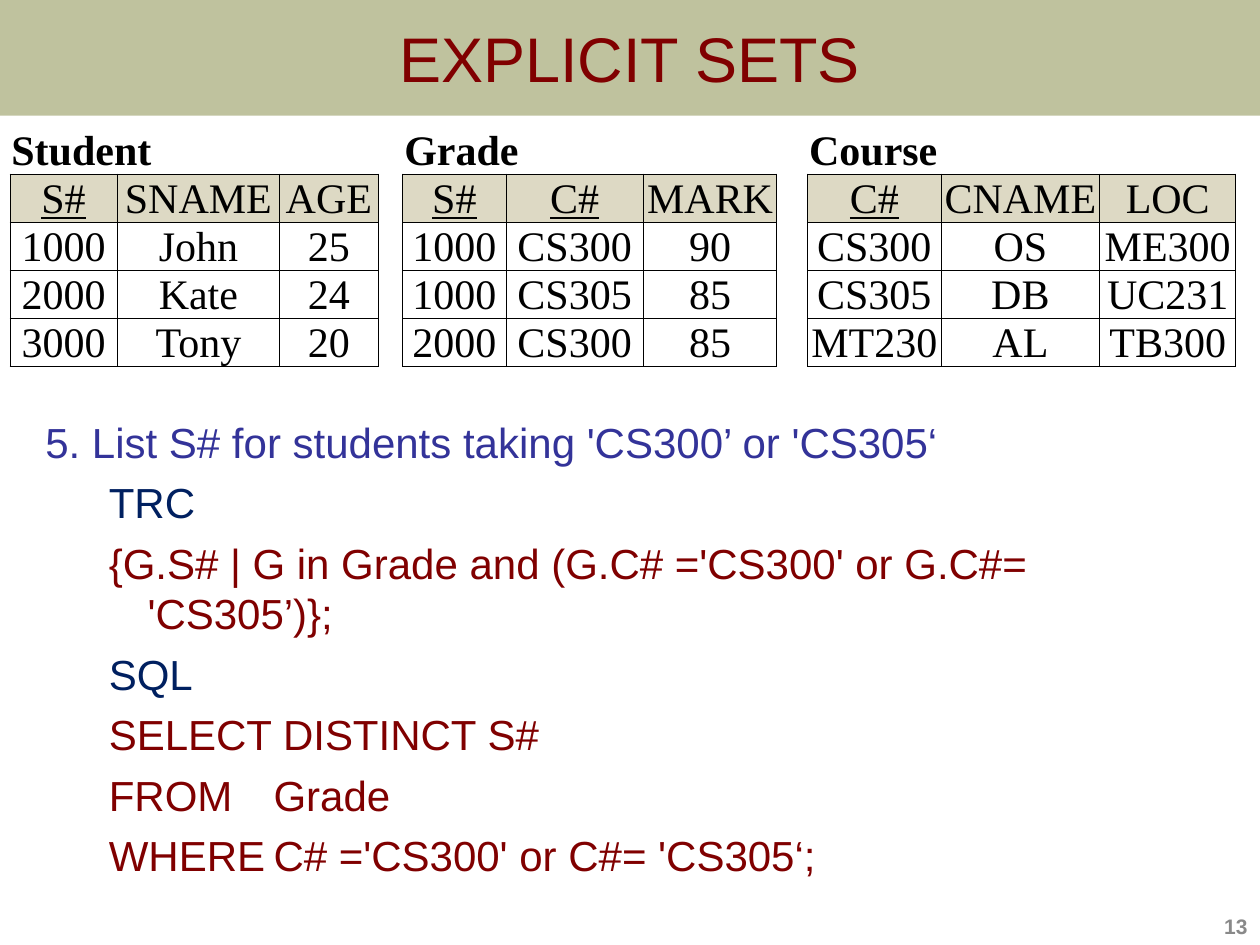
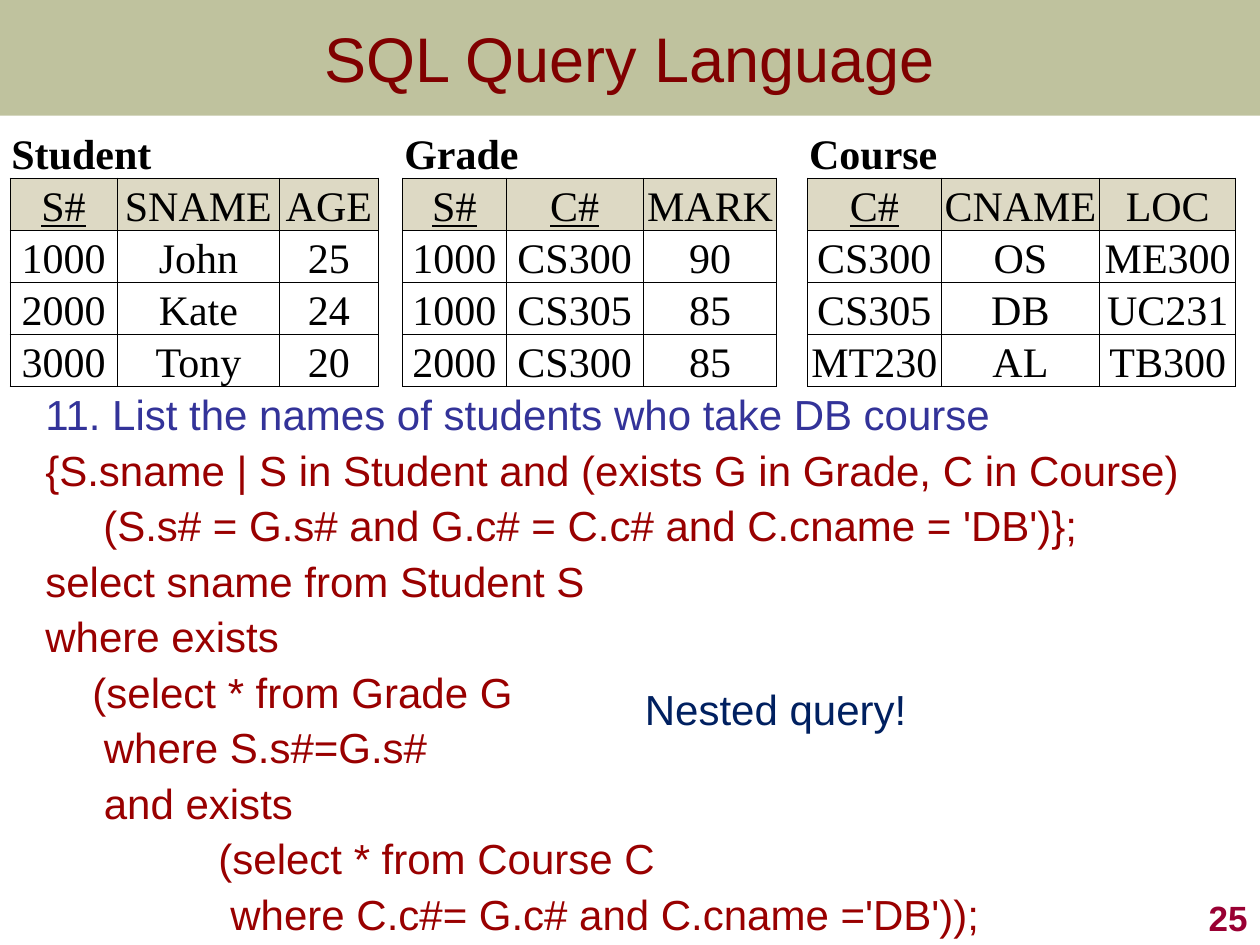
import pptx
import pptx.util
import pptx.dml.color
import pptx.enum.text
import pptx.oxml
import pptx.oxml.ns
import lxml.etree

Cm, Pt = pptx.util.Cm, pptx.util.Pt
ALIGN = pptx.enum.text.PP_ALIGN
ANCHOR = pptx.enum.text.MSO_ANCHOR
AUTO = pptx.enum.text.MSO_AUTO_SIZE

# Shared look
MAROON, NAVY, INDIGO, RED = "800000", "002060", "333399", "990000"
BAND, HEADER, WHITE, BLACK = "6E7524", "DDD9C4", "FFFFFF", "000000"
SANS, SERIF = "Arial", "Times New Roman"

# Relations: name, key columns, column widths (cm), header and rows
RELATIONS = [
    ("Student", {"S#"}, [2.16, 3.28, 1.98],
     [["S#", "SNAME", "AGE"],
      ["1000", "John", "25"],
      ["2000", "Kate", "24"],
      ["3000", "Tony", "20"]]),
    ("Grade", {"S#", "C#"}, [2.08, 2.77, 2.69],
     [["S#", "C#", "MARK"],
      ["1000", "CS300", "90"],
      ["1000", "CS305", "85"],
      ["2000", "CS300", "85"]]),
    ("Course", {"C#"}, [2.69, 3.2, 2.74],
     [["C#", "CNAME", "LOC"],
      ["CS300", "OS", "ME300"],
      ["CS305", "DB", "UC231"],
      ["MT230", "AL", "TB300"]]),
]
GAPS = [0.5, 0.62]

# Slides: body lines are (text, colour, left margin, first-line indent, tab stops)
STEP = (2.06, -0.78)
SLIDES = [
    dict(title="EXPLICIT SETS", row_h=0.97, body_box=(0.66, 8.26, 24, 9.52),
         spacing=1.0, number=("13", 12, "898989"), note=None,
         lines=[
             ("5. List S# for students taking 'CS300’ or 'CS305‘", INDIGO, 0, 0),
             ("TRC", NAVY, *STEP),
             ("{G.S# | G in Grade and (G.C# ='CS300' or G.C#= 'CS305’)};", MAROON, *STEP),
             ("SQL", NAVY, *STEP),
             ("SELECT DISTINCT S#", MAROON, *STEP),
             ("FROM\tGrade", MAROON, *STEP, 2.9, 4.95),
             ("WHERE\tC# ='CS300' or C#= 'CS305‘;", MAROON, *STEP),
         ]),
    dict(title="SQL Query Language", row_h=1.05, body_box=(0.66, 7.82, 24.1, 10.85),
         spacing=0.9, number=("25", 20, "990033"), note="Nested query!",
         lines=[
             ("11. List the names of students who take DB course", INDIGO, 0, 0),
             ("{S.sname | S in Student and (exists G in Grade, C in Course)", RED, 0, 0),
             ("(S.s# = G.s# and G.c# = C.c# and C.cname = 'DB')};", RED, 1.17, 0),
             ("select sname from Student S", RED, 0, 0),
             ("where exists", RED, 0, 0),
             ("(select * from Grade G", RED, 0.95, 0),
             ("where S.s#=G.s#", RED, 1.18, 0),
             ("and exists", RED, 1.18, 0),
             ("(select * from Course C", RED, 3.49, 0),
             ("where C.c#= G.c# and C.cname ='DB'));", RED, 3.73, 0),
         ]),
]


def rgb(color):
    return pptx.dml.color.RGBColor.from_string(color)


def sub(parent, tag, **attrs):
    """Append a drawing element with the given attributes."""
    el = lxml.etree.SubElement(parent, pptx.oxml.ns.qn("a:" + tag))
    for key, value in attrs.items():
        el.set(key, str(value))
    return el


def write(p, text, size=24, font=SANS, color=BLACK, bold=False, underline=False,
          align=ALIGN.LEFT, spacing=None, before=None):
    """Put one formatted run into paragraph p."""
    p.alignment = align
    if spacing:
        p.line_spacing = spacing
    if before is not None:
        p.space_before = Pt(before)
    r = p.add_run()
    r.text = text
    r.font.size, r.font.name = Pt(size), font
    r.font.bold, r.font.underline = bold, underline
    r.font.color.rgb = rgb(color)


def place(sp, left, top, width, height):
    sp.left, sp.top, sp.width, sp.height = Cm(left), Cm(top), Cm(width), Cm(height)


def add_title(s, text):
    sp = s.shapes.title
    place(sp, 0, 0, 25.4, 2.33)
    sp.fill.solid()
    sp.fill.fore_color.rgb = rgb(BAND)
    color_el = sp.fill._xPr.find(".//" + pptx.oxml.ns.qn("a:srgbClr"))
    sub(color_el, "alpha", val=44000)
    tf = sp.text_frame
    tf.auto_size, tf.vertical_anchor = AUTO.NONE, ANCHOR.MIDDLE
    write(tf.paragraphs[0], text, size=36, color=MAROON, align=ALIGN.CENTER)


def add_body(s, lines, box, spacing):
    sp = s.placeholders[1]
    place(sp, *box)
    tf = sp.text_frame
    tf.auto_size, tf.margin_right = AUTO.NONE, 0
    for i, (text, color, left, indent, *tabs) in enumerate(lines):
        p = tf.add_paragraph() if i else tf.paragraphs[0]
        write(p, text, color=color, spacing=spacing, before=5.8)
        pPr = p._p.get_or_add_pPr()
        pPr.set("marL", str(Cm(left)))
        pPr.set("indent", str(Cm(indent)))
        sub(pPr, "buNone")
        if tabs:
            stops = sub(pPr, "tabLst")
            for pos in tabs:
                sub(stops, "tab", pos=Cm(pos), algn="l")


def style_cell(cell, fill, edges):
    """Fill a cell and draw the listed edges (letters of LRTB)."""
    cell.margin_left = cell.margin_right = cell.margin_top = Cm(0.03)
    cell.margin_bottom = 0
    cell.vertical_anchor = ANCHOR.BOTTOM
    tcPr = cell._tc.get_or_add_tcPr()
    for side in "LRTB":
        ln = sub(tcPr, "ln" + side, w=Pt(0.5))
        if side in edges:
            sub(sub(ln, "solidFill"), "srgbClr", val=BLACK)
        else:
            sub(ln, "noFill")
    cell.fill.solid()
    cell.fill.fore_color.rgb = rgb(fill)


def add_relations(s, row_h):
    widths = []
    for i, (_, _, cols, _) in enumerate(RELATIONS):
        widths += ([GAPS[i - 1]] if i else []) + cols
    n_rows = 1 + len(RELATIONS[0][3])
    frame = s.shapes.add_table(n_rows, len(widths), Cm(0.2), Cm(2.54),
                               Cm(sum(widths)), Cm(row_h * n_rows))
    table = frame.table
    table.first_row = table.horz_banding = False
    for col, width in zip(table.columns, widths):
        col.width = Cm(width)

    start = 0
    for i, (name, keys, cols, rows) in enumerate(RELATIONS):
        # Gap column before every relation but the first
        if i:
            for r in range(n_rows):
                style_cell(table.cell(r, start), WHITE, "LR" if r else "")
            start += 1
        # Name across the relation
        for c in range(len(cols)):
            style_cell(table.cell(0, start + c), WHITE, "B")
        label = table.cell(0, start)
        label.merge(table.cell(0, start + len(cols) - 1))
        write(label.text_frame.paragraphs[0], name, font=SERIF, bold=True)
        # Header and values
        for r, row in enumerate(rows, 1):
            for c, text in enumerate(row):
                cell = table.cell(r, start + c)
                style_cell(cell, HEADER if r == 1 else WHITE, "LRTB")
                write(cell.text_frame.paragraphs[0], text, font=SERIF,
                      underline=r == 1 and text in keys, align=ALIGN.CENTER)
        start += len(cols)


def add_text(s, text, box, wrap=True, anchor=ANCHOR.TOP, **fmt):
    tf = s.shapes.add_textbox(*map(Cm, box)).text_frame
    tf.word_wrap, tf.vertical_anchor = wrap, anchor
    write(tf.paragraphs[0], text, **fmt)


def main():
    prs = pptx.Presentation()
    prs.slide_width, prs.slide_height = Cm(25.4), Cm(19.05)
    for item in SLIDES:
        s = prs.slides.add_slide(prs.slide_layouts[1])
        add_title(s, item["title"])
        add_body(s, item["lines"], item["body_box"], item["spacing"])
        add_relations(s, item["row_h"])
        number, size, color = item["number"]
        add_text(s, number, (20.12, 17.78, 5.28, 1.27), anchor=ANCHOR.BOTTOM,
                 size=size, color=color, bold=True, align=ALIGN.RIGHT)
        if item["note"]:
            add_text(s, item["note"], (12.75, 13.77, 5.84, 1.17), wrap=False,
                     color=NAVY, spacing=0.9)
    prs.save("out.pptx")


if __name__ == "__main__":
    main()
